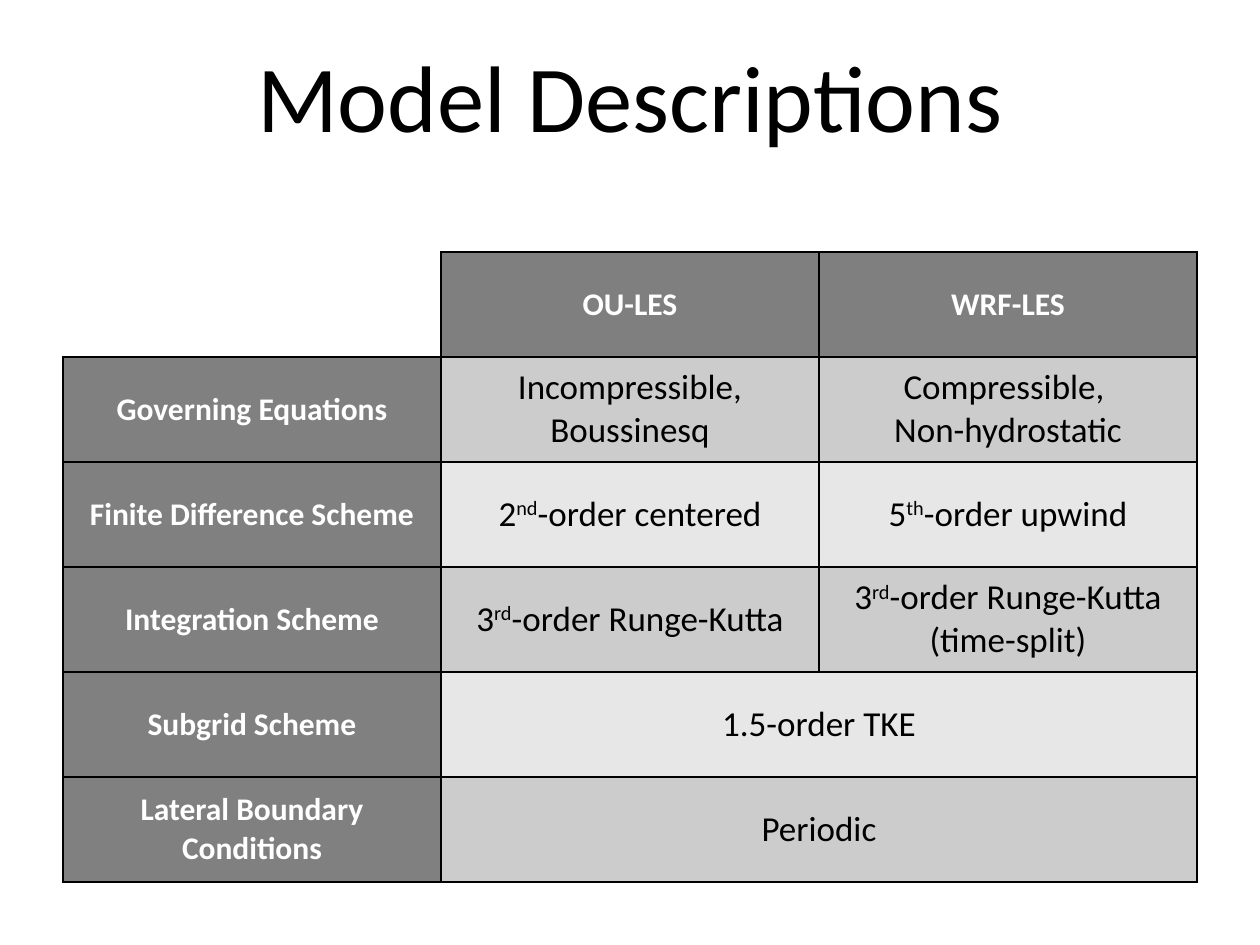
from dataclasses import dataclass

from lxml.etree import SubElement
from pptx import Presentation
from pptx.dml.color import RGBColor as RGB
from pptx.enum.text import MSO_ANCHOR as Anchor, PP_ALIGN as Align
from pptx.oxml.ns import qn
from pptx.util import Pt


@dataclass(frozen=True)
class Theme:
    font: str = "Calibri"
    title_size: int = 54
    label_size: int = 18
    value_size: int = 20
    black: str = "000000"
    white: str = "FFFFFF"
    column_head: str = "7F7F7F"
    row_head: str = "808080"
    bands: tuple[str, str] = ("CCCCCC", "E7E7E7")


@dataclass(frozen=True)
class Style:
    size: int
    color: str
    bold: bool = False


@dataclass(frozen=True)
class ModelRow:
    label: str
    values: tuple[str, ...]  # a single value spans both models


THEME = Theme()
TITLE = Style(THEME.title_size, THEME.black)
LABEL = Style(THEME.label_size, THEME.white, True)
VALUE = Style(THEME.value_size, THEME.black)

# Carets enclose superscripts; line breaks separate paragraphs
MODELS = ("OU-LES", "WRF-LES")
ROWS = (
    ModelRow("Governing Equations",
             ("Incompressible, Boussinesq", "Compressible, \nNon-hydrostatic")),
    ModelRow("Finite Difference Scheme",
             ("2^nd^-order centered", "5^th^-order upwind")),
    ModelRow("Integration Scheme",
             ("3^rd^-order Runge-Kutta", "3^rd^-order Runge-Kutta (time-split)")),
    ModelRow("Subgrid Scheme", ("1.5-order TKE",)),
    ModelRow("Lateral Boundary Conditions", ("Periodic",)),
)


def write(tf, text: str, style: Style) -> None:
    """Fill a text frame with centred, styled text."""
    for i, line in enumerate(text.split("\n")):
        p = tf.add_paragraph() if i else tf.paragraphs[0]
        p.alignment = Align.CENTER
        for j, part in enumerate(line.split("^")):
            r = p.add_run()
            r.text = part
            r.font.name = THEME.font
            r.font.size = Pt(style.size)
            r.font.bold = style.bold
            r.font.color.rgb = RGB.from_string(style.color)
            if j % 2:
                r.font._element.set("baseline", "30000")


def set_borders(cell, visible: str = "LRTB") -> None:
    """Draw the named sides in black and clear the others."""
    tc_pr = cell._tc.get_or_add_tcPr()
    for side in "LRTB":
        ln = SubElement(tc_pr, qn(f"a:ln{side}"), w=str(Pt(1)))
        if side in visible:
            fill = SubElement(ln, qn("a:solidFill"))
            SubElement(fill, qn("a:srgbClr"), val=THEME.black)
        else:
            SubElement(ln, qn("a:noFill"))


def fill_cell(cell, text: str, style: Style, color: str) -> None:
    cell.fill.solid()
    cell.fill.fore_color.rgb = RGB.from_string(color)
    cell.vertical_anchor = Anchor.MIDDLE
    write(cell.text_frame, text, style)


def add_title(s, text: str) -> None:
    tf = s.shapes.add_textbox(Pt(0), Pt(0), Pt(720), Pt(108)).text_frame
    tf.word_wrap = True
    tf.vertical_anchor = Anchor.MIDDLE
    write(tf, text, TITLE)


def add_model_table(s, models: tuple[str, ...], rows: tuple[ModelRow, ...]) -> None:
    table = s.shapes.add_table(len(rows) + 1, len(models) + 1,
                               Pt(36), Pt(144), Pt(648), Pt(360)).table
    table.first_row = table.horz_banding = False

    # Borders, with the top left corner left open
    corner = table.cell(0, 0)
    for cell in table.iter_cells():
        set_borders(cell, "RB" if cell == corner else "LRTB")
    corner.fill.background()

    # Column heads
    for c, model in enumerate(models, 1):
        fill_cell(table.cell(0, c), model, LABEL, THEME.column_head)

    # Row heads and values
    for i, row in enumerate(rows):
        fill_cell(table.cell(i + 1, 0), row.label, LABEL, THEME.row_head)
        if len(row.values) == 1:
            table.cell(i + 1, 1).merge(table.cell(i + 1, len(models)))
        for c, value in enumerate(row.values, 1):
            fill_cell(table.cell(i + 1, c), value, VALUE, THEME.bands[i % 2])


def main() -> None:
    prs = Presentation()
    prs.slide_width, prs.slide_height = Pt(720), Pt(540)
    s = prs.slides.add_slide(prs.slide_layouts[6])
    add_title(s, "Model Descriptions")
    add_model_table(s, MODELS, ROWS)
    prs.save("out.pptx")


if __name__ == "__main__":
    main()
